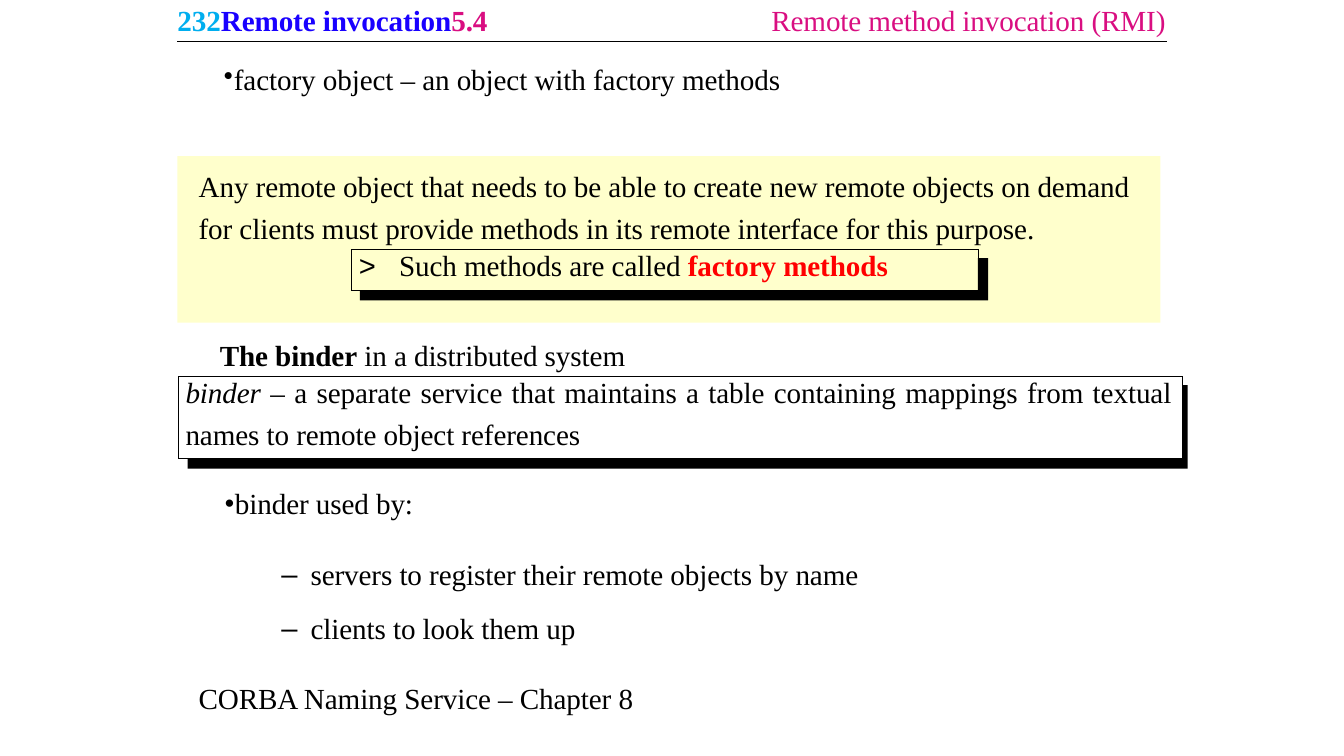
from dataclasses import dataclass
from lxml import etree
from pptx import Presentation
from pptx.dml.color import RGBColor as Rgb
from pptx.enum.shapes import MSO_CONNECTOR as Conn, MSO_SHAPE as Kind
from pptx.enum.text import MSO_ANCHOR as Anchor, MSO_AUTO_SIZE as Fit, PP_ALIGN as Align
from pptx.oxml.ns import qn
from pptx.util import Emu, Pt

SCALE = 9144


@dataclass(frozen=True)
class Theme:
    serif: str = "Times New Roman"
    sans: str = "Arial"
    size: float = 20.8
    line: float = 0.4
    track: int = -7
    ink: str = "000000"
    cream: str = "FFFFCC"
    cyan: str = "00AEEF"
    blue: str = "1900FF"
    pink: str = "D90E81"
    red: str = "FF0000"


LOOK = Theme()


def px(*nums):
    return [Emu(n * SCALE) for n in nums]


def place(shape, box):
    shape.left, shape.top, shape.width, shape.height = px(*box)
    frame = shape.text_frame
    frame.word_wrap = True
    frame.auto_size = Fit.NONE
    frame.vertical_anchor = Anchor.TOP
    frame.margin_left = frame.margin_top = 0
    frame.margin_right = frame.margin_bottom = 0
    return frame


def write(para, parts, align=Align.LEFT, space=1.0, before=0):
    para.alignment = align
    para.line_spacing = space
    para.space_before = Pt(before)
    para.space_after = Pt(0)
    for text, style in parts:
        run = para.add_run()
        run.text = text
        font = run.font
        font.name = style.get("face", LOOK.serif)
        font.size = Pt(LOOK.size)
        font.bold = style.get("bold", False)
        font.italic = style.get("italic", False)
        font.color.rgb = Rgb.from_string(style.get("color", LOOK.ink))
        run._r.get_or_add_rPr().set("spc", str(style.get("track", LOOK.track)))


def indent(para, left, hang=0, mark=None, size=100):
    props = para._p.get_or_add_pPr()
    props.set("marL", str(left * SCALE))
    props.set("indent", str(-hang * SCALE))
    if mark:
        color = etree.SubElement(props, qn("a:buClr"))
        etree.SubElement(color, qn("a:srgbClr"), val=LOOK.ink)
        etree.SubElement(props, qn("a:buSzPct"), val=str(size * 1000))
        etree.SubElement(props, qn("a:buChar"), char=mark)
    else:
        etree.SubElement(props, qn("a:buNone"))


def label(slide, box, parts, **style):
    frame = place(slide.shapes.add_textbox(*px(*box)), box)
    write(frame.paragraphs[0], parts, **style)
    return frame.paragraphs[0]


def paint(shape, fill):
    shape.shadow.inherit = False
    shape.fill.solid()
    shape.fill.fore_color.rgb = Rgb.from_string(fill)
    shape.line.fill.background()


def stroke(slide, *ends):
    rule = slide.shapes.add_connector(Conn.STRAIGHT, *px(*ends))
    rule.line.color.rgb = Rgb.from_string(LOOK.ink)
    rule.line.width = Pt(LOOK.line)
    etree.SubElement(rule._element.spPr, qn("a:effectLst"))


def card(slide, box, right, drop=10):
    x, y, w, h = box
    far, low = x + w, y + h
    for ends in ((x, y, far, y), (x, low, x, y),
                 (far, low, far, y), (x, low, far, low)):
        stroke(slide, *ends)
    edge = slide.shapes.build_freeform(far + right, y + 9, scale=SCALE)
    edge.add_line_segments([
        (far, y + 9), (far, low), (x + 9, low),
        (x + 9, low + drop), (far + right, low + drop),
    ], close=True)
    paint(edge.convert_to_shape(), LOOK.ink)


def header(slide, box):
    x, y, w, h = box
    frame = place(slide.shapes.title, (x, y + 2, w // 2, h - 4))
    write(frame.paragraphs[0], [
        ("232", {"color": LOOK.cyan, "bold": True}),
        ("Remote invocation", {"color": LOOK.blue, "bold": True}),
        ("5.4", {"color": LOOK.pink, "bold": True}),
    ])
    label(slide, (x + w // 2, y + 2, w - w // 2 - 1, h - 4),
          [("Remote method invocation (RMI)", {"color": LOOK.pink})],
          align=Align.RIGHT)
    stroke(slide, x, y + h, x + w, y + h)


def intro(slide, box):
    para = label(slide, box,
                 [("factory object – an object with factory methods", {})])
    indent(para, 10, 10, "•", 92)


def factory(slide, box):
    x, y, w, h = box
    paint(slide.shapes.add_shape(Kind.RECTANGLE, *px(*box)), LOOK.cream)
    label(slide, (x + 21, y + 5, w - 33, 84), [
        ("Any remote object that needs to be able to create new remote objects "
         "on demand for clients must provide methods in its remote interface "
         "for this purpose.", {}),
    ], space=1.2)
    label(slide, (x + 180, y + 90, 607, 37), [
        ("> ", {"face": LOOK.sans, "track": 540}),
        ("Such methods are called ", {}),
        ("factory methods", {"color": LOOK.red, "bold": True}),
    ])
    card(slide, (x + 172, y + 92, 622, 41), 10)


def binder(slide, box):
    x, y, w, h = box
    label(slide, (x + 41, y, w - 41, 35), [
        ("The binder", {"bold": True}),
        (" in a distributed system", {}),
    ])
    card(slide, (x, y + 38, w, h - 38), 5)
    label(slide, (x + 7, y + 30, w - 18, h - 30), [
        ("binder", {"italic": True}),
        (" – a separate service that maintains a table containing mappings "
         "from textual names to remote object references", {}),
    ], align=Align.JUSTIFY, space=1.2)


def uses(slide, box):
    frame = place(slide.placeholders[1], box)
    rows = [
        ("binder used by:", 0, 0, (56, 10, "•", 92)),
        ("servers to register their remote objects by name", 1, 25.7,
         (131, 29, "–")),
        ("clients to look them up", 1, 13.6, (131, 29, "–")),
        ("CORBA Naming Service – Chapter 8", 0, 25, (20,)),
    ]
    for i, (text, level, before, shift) in enumerate(rows):
        para = frame.add_paragraph() if i else frame.paragraphs[0]
        para.level = level
        write(para, [(text, {})], before=before)
        indent(para, *shift)


def main():
    deck = Presentation()
    deck.slide_width, deck.slide_height = px(1333, 750)
    slide = deck.slides.add_slide(deck.slide_layouts[1])
    header(slide, (176, 0, 981, 41))
    intro(slide, (222, 61, 558, 35))
    factory(slide, (176, 155, 975, 165))
    binder(slide, (177, 335, 996, 120))
    uses(slide, (177, 482, 996, 256))
    deck.save("out.pptx")


if __name__ == "__main__":
    main()
